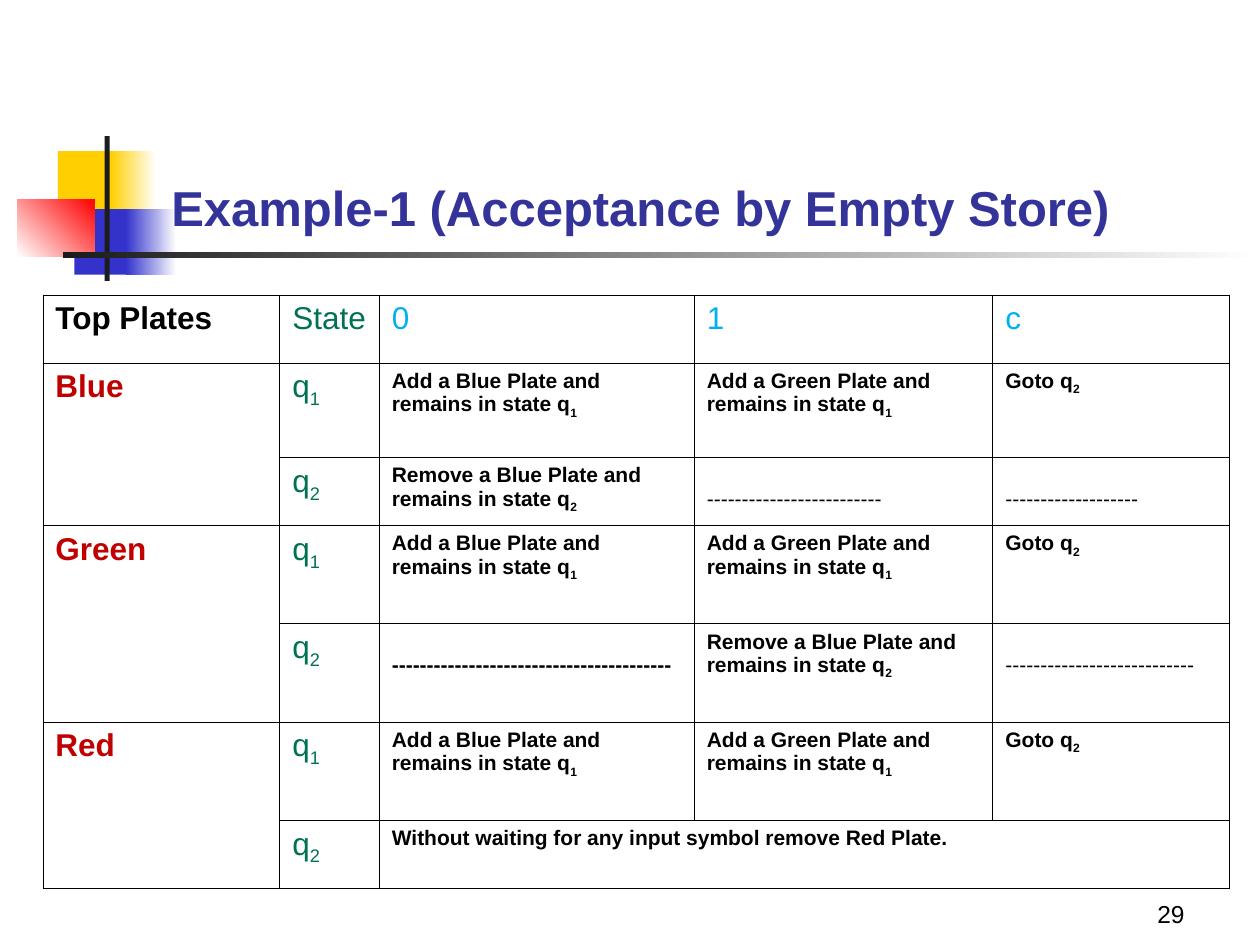
from pptx import Presentation
from pptx.dml.color import RGBColor
from pptx.enum.shapes import MSO_SHAPE as Shape
from pptx.enum.text import MSO_ANCHOR as Anchor, PP_ALIGN as Align
from pptx.oxml import parse_xml
from pptx.oxml.ns import nsdecls
from pptx.util import Inches, Pt

BLACK = RGBColor(0x00, 0x00, 0x00)
WHITE = RGBColor(0xFF, 0xFF, 0xFF)
YELLOW = RGBColor(0xFF, 0xCF, 0x01)
BLUE = RGBColor(0x33, 0x33, 0xCC)
RED = RGBColor(0xFF, 0x00, 0x00)
DARK = RGBColor(0x1C, 0x1C, 0x1C)
NAVY = RGBColor(0x33, 0x33, 0x99)
GREEN = RGBColor(0x00, 0x72, 0x54)
SKY = RGBColor(0x00, 0xB0, 0xF0)
MAROON = RGBColor(0xC0, 0x00, 0x00)

DECOR = [
    ((0.46, 1.2, 0.48, 0.52), [YELLOW], 0),
    ((0.88, 1.2, 0.36, 0.52), [YELLOW, WHITE], 0),
    ((0.59, 1.66, 0.46, 0.52), [BLUE], 0),
    ((1, 1.66, 0.4, 0.52), [BLUE, WHITE], 0),
    ((0.14, 1.58, 0.61, 0.46), [WHITE, RED], 45),
    ((0.83, 1.08, 0.04, 1.15), [DARK], 0),
    ((0.5, 2, 9.5, 0.05), [DARK, WHITE], 0),
]

WIDTHS = [1.88, 0.79, 2.5, 2.37, 1.88]
HEIGHTS = [0.54, 0.75, 0.54, 0.78, 0.78, 0.78, 0.54]
HEAD = ["Top Plates", "State", "0", "1", "c"]
ADD = ["Add a Blue Plate and remains in state q_1",
       "Add a Green Plate and remains in state q_1", "Goto q_2"]
REMOVE = "Remove a Blue Plate and remains in state q_2"
PLATES = [
    ("Blue", [REMOVE, "-" * 25, "-" * 19]),
    ("Green", ["-" * 40, REMOVE, "-" * 27]),
    ("Red", ["Without waiting for any input symbol remove Red Plate.", "", ""]),
]


def write(frame, text, size=12, color=BLACK, bold=False, align=Align.LEFT):
    """Fill a text frame, setting what follows an underscore as a subscript."""
    para = frame.paragraphs[0]
    para.alignment = align
    for base, part in zip((0, -25000), text.split("_")):
        run = para.add_run()
        run.text = part
        font = run.font
        font.name, font.size, font.bold = "Arial", Pt(size), bold
        font.color.rgb = color
        if base:
            run._r.get_or_add_rPr().set("baseline", str(base))


def block(slide, box, colors, angle):
    """Draw a plain or gradient rectangle without an outline."""
    shape = slide.shapes.add_shape(Shape.RECTANGLE, *map(Inches, box))
    shape.shadow.inherit = False
    shape.line.fill.background()
    if len(colors) == 1:
        shape.fill.solid()
        shape.fill.fore_color.rgb = colors[0]
        return
    shape.fill.gradient()
    shape.fill.gradient_angle = angle
    for stop, color in zip(shape.fill.gradient_stops, colors):
        stop.color.rgb = color


def border(cell):
    """Give a cell thin black borders and no fill."""
    props = cell._tc.get_or_add_tcPr()
    for side in "LRTB":
        props.append(parse_xml(
            f'<a:ln{side} {nsdecls("a")} w="5715"><a:solidFill>'
            f'<a:srgbClr val="{BLACK}"/></a:solidFill></a:ln{side}>'))
    cell.fill.background()


def entry(cell, text):
    """Write an action, or dashes lowered to the second line."""
    dashes = text.startswith("-")
    if dashes:
        cell.margin_top = Inches(0.24)
    write(cell.text_frame, text, bold=not dashes or len(text) == 40)


def grid(slide):
    """Build the table of actions by top plate, state and input."""
    frame = slide.shapes.add_table(
        len(HEIGHTS), len(WIDTHS), Inches(0.34), Inches(2.34),
        Inches(sum(WIDTHS)), Inches(sum(HEIGHTS)))
    table = frame.table
    table.first_row = table.horz_banding = False
    for col, width in zip(table.columns, WIDTHS):
        col.width = Inches(width)
    for row, height in zip(table.rows, HEIGHTS):
        row.height = Inches(height)
    for cell in table.iter_cells():
        border(cell)
    for col, (text, color) in enumerate(zip(HEAD, [BLACK, GREEN] + [SKY] * 3)):
        write(table.cell(0, col).text_frame, text, size=18, color=color, bold=col == 0)
    for num, (plate, second) in enumerate(PLATES):
        top = 1 + 2 * num
        name = table.cell(top, 0)
        name.merge(table.cell(top + 1, 0))
        write(name.text_frame, plate, size=18, color=MAROON, bold=True)
        for step, acts in enumerate((ADD, second)):
            row = top + step
            write(table.cell(row, 1).text_frame, f"q_{step + 1}", size=18, color=GREEN)
            for col, text in enumerate(acts, 2):
                if text:
                    entry(table.cell(row, col), text)
    table.cell(6, 2).merge(table.cell(6, 4))


def title(slide, text):
    """Place and format the title in front of the decoration."""
    shape = slide.shapes.title
    slide.shapes._spTree.append(shape._element)
    shape.left, shape.top, shape.width, shape.height = map(
        Inches, (1.26, 0.68, 8.52, 1.25))
    shape.text_frame.vertical_anchor = Anchor.BOTTOM
    write(shape.text_frame, text, size=28, color=NAVY, bold=True)


def number(slide, text):
    """Add the page number."""
    box = slide.shapes.add_textbox(*map(Inches, (7.42, 6.92, 2.08, 0.5)))
    box.text_frame.word_wrap = True
    box.text_frame.vertical_anchor = Anchor.BOTTOM
    write(box.text_frame, text, size=14, align=Align.RIGHT)


def main():
    """Build and save the slide."""
    deck = Presentation()
    deck.slide_width, deck.slide_height = Inches(10), Inches(7.5)
    slide = deck.slides.add_slide(deck.slide_layouts[5])
    for box, colors, angle in DECOR:
        block(slide, box, colors, angle)
    number(slide, "29")
    title(slide, "Example-1 (Acceptance by Empty Store)")
    grid(slide)
    deck.save("out.pptx")


if __name__ == "__main__":
    main()
